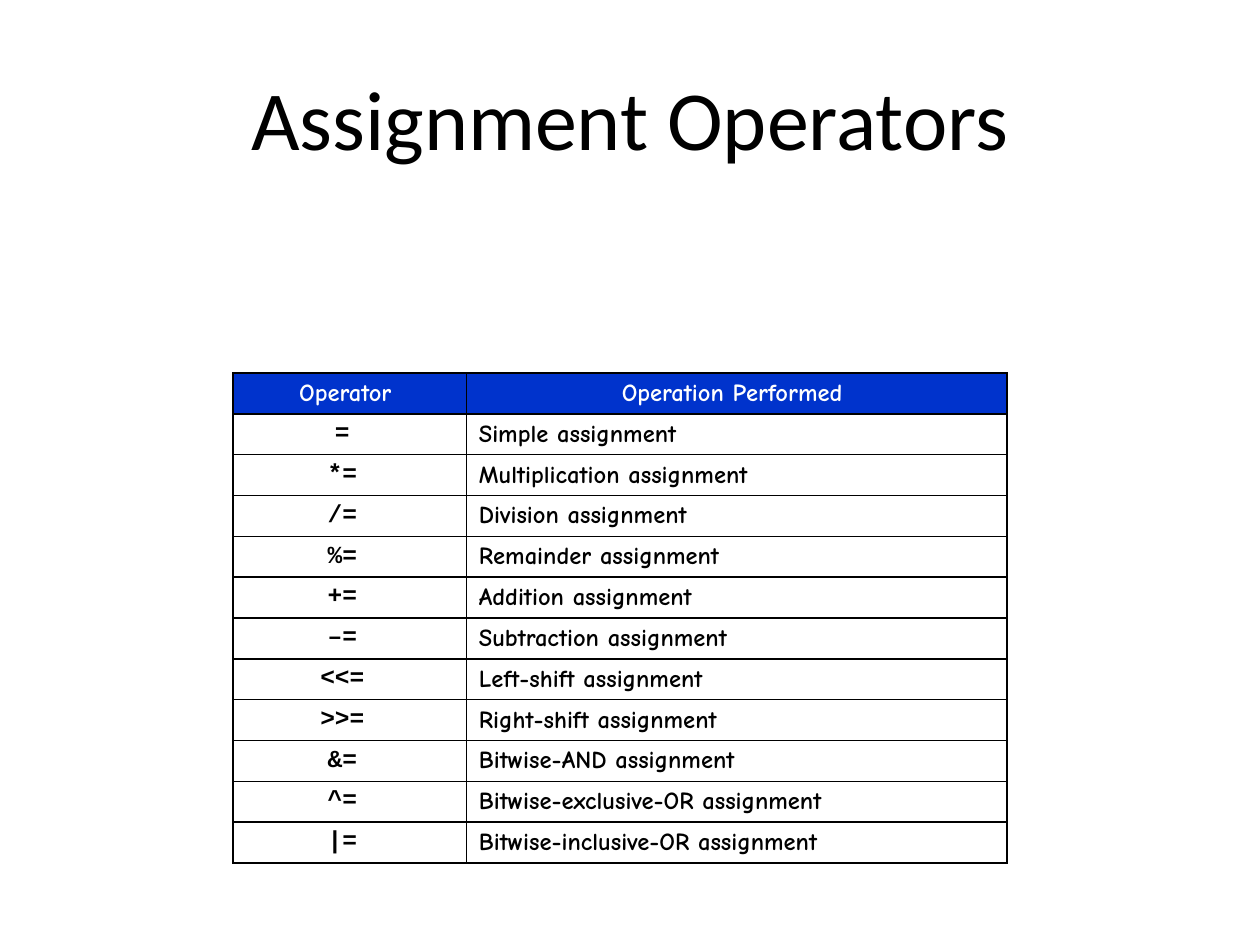
from lxml.etree import SubElement
from pptx import Presentation
from pptx.dml.color import RGBColor
from pptx.enum.text import MSO_ANCHOR as Anchor, PP_ALIGN as Align
from pptx.oxml.ns import qn
from pptx.util import Cm, Pt

TITLE = "Assignment Operators"
HEADER = ("Operator ", "Operation Performed ")
OPERATORS = [
    ("= ", "Simple assignment"),
    ("*= ", "Multiplication assignment"),
    ("/= ", "Division assignment"),
    ("%= ", "Remainder assignment"),
    ("+= ", "Addition assignment"),
    ("–= ", "Subtraction assignment"),
    ("<<= ", "Left-shift assignment"),
    (">>= ", "Right-shift assignment"),
    ("&= ", "Bitwise-AND assignment"),
    ("^= ", "Bitwise-exclusive-OR assignment"),
    ("|= ", "Bitwise-inclusive-OR assignment"),
]
COLUMN_WIDTHS = (4.7, 10.9)
ROW_HEIGHT = 0.82
BLACK, WHITE, BLUE = "000000", "FFFFFF", "0033CC"

HEADER_STYLE = {"name": "Comic Neue", "size": Pt(14), "bold": True, "color": WHITE}
NAME_STYLE = {**HEADER_STYLE, "color": BLACK}
SYMBOL_STYLE = {**NAME_STYLE, "name": "Courier New"}
TITLE_STYLE = {"name": "Calibri", "size": Pt(48), "bold": False, "color": BLACK}


def set_color(color_format, value):
    color_format.rgb = RGBColor.from_string(value)


def write(frame, text, style, alignment):
    paragraph = frame.paragraphs[0]
    paragraph.alignment = alignment
    run = paragraph.add_run()
    run.text = text
    for key, value in style.items():
        if key == "color":
            set_color(run.font.color, value)
        else:
            setattr(run.font, key, value)


def add_borders(cell):
    properties = cell._tc.get_or_add_tcPr()
    for position, side in enumerate(("lnL", "lnR", "lnT", "lnB")):
        line = properties.makeelement(qn(f"a:{side}"), {"w": str(Pt(1))})
        properties.insert(position, line)
        fill = SubElement(line, qn("a:solidFill"))
        SubElement(fill, qn("a:srgbClr"), val=BLACK)


def add_operator_table(slide):
    rows = [HEADER, *OPERATORS]
    frame = slide.shapes.add_table(
        len(rows), len(HEADER), Cm(4.7), Cm(7.52),
        Cm(sum(COLUMN_WIDTHS)), Cm(ROW_HEIGHT * len(rows)))
    table = frame.table
    for column, width in zip(table.columns, COLUMN_WIDTHS):
        column.width = Cm(width)
    for row_index, texts in enumerate(rows):
        is_header = row_index == 0
        table.rows[row_index].height = Cm(ROW_HEIGHT)
        styles = (HEADER_STYLE,) * 2 if is_header else (SYMBOL_STYLE, NAME_STYLE)
        alignments = (Align.CENTER, Align.CENTER if is_header else Align.LEFT)
        for column_index, text in enumerate(texts):
            cell = table.cell(row_index, column_index)
            cell.vertical_anchor = Anchor.BOTTOM if is_header else Anchor.TOP
            cell.fill.solid()
            set_color(cell.fill.fore_color, BLUE if is_header else WHITE)
            write(cell.text_frame, text, styles[column_index], alignments[column_index])
            add_borders(cell)


def main():
    presentation = Presentation()
    presentation.slide_width, presentation.slide_height = Cm(25.4), Cm(19.05)
    slide = presentation.slides.add_slide(presentation.slide_layouts[5])
    title = slide.shapes.title
    title.left, title.top, title.width, title.height = map(Cm, (1.27, 0.76, 22.86, 3.18))
    title.text_frame.vertical_anchor = Anchor.MIDDLE
    write(title.text_frame, TITLE, TITLE_STYLE, Align.CENTER)
    add_operator_table(slide)
    presentation.save("out.pptx")


if __name__ == "__main__":
    main()
